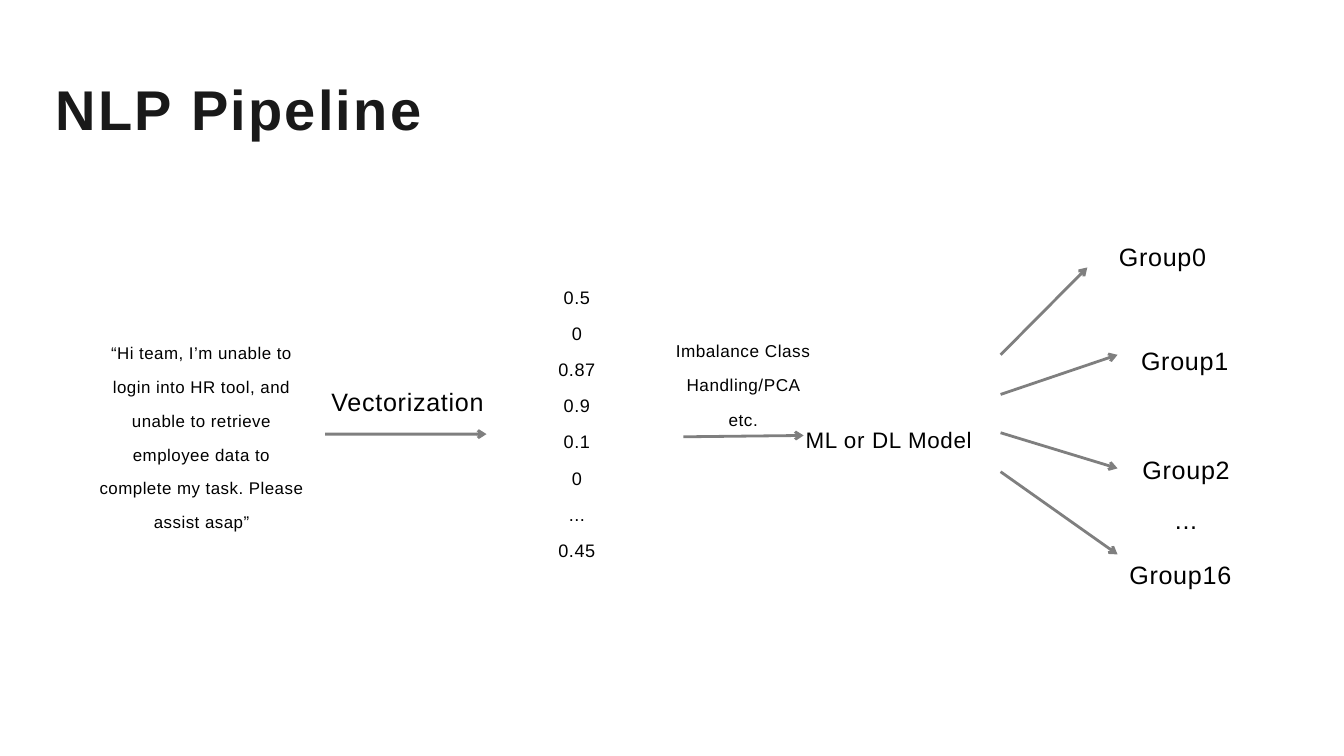
from dataclasses import dataclass
from lxml.etree import SubElement
from pptx import Presentation
from pptx.dml.color import RGBColor
from pptx.enum.shapes import MSO_CONNECTOR
from pptx.enum.text import MSO_ANCHOR, MSO_AUTO_SIZE, PP_ALIGN
from pptx.oxml.ns import qn
from pptx.util import Pt

PX = 9144


@dataclass
class Theme:
    font: str = "Arial"
    ink: str = "000000"
    head: str = "191919"
    title: float = 60
    label: float = 26.9
    model: float = 24
    vector: float = 19.4
    step: float = 18.4
    quote: float = 18.1
    stroke: float = 3
    alpha: int = 50


theme = Theme()


def place(shape, box):
    for name, value in zip(("left", "top", "width", "height"), box):
        setattr(shape, name, value * PX)


def write(shape, lines, size, space, ink=theme.ink, lead=2, align=PP_ALIGN.CENTER, bold=False):
    frame = shape.text_frame
    frame.text = "\n".join(lines)
    sides = dict.fromkeys(("margin_left", "margin_top", "margin_right", "margin_bottom"), 0)
    look = {**sides, "word_wrap": True, "vertical_anchor": MSO_ANCHOR.TOP,
            "auto_size": MSO_AUTO_SIZE.SHAPE_TO_FIT_TEXT}
    for name, value in look.items():
        setattr(frame, name, value)
    for para in frame.paragraphs:
        for name, value in {"alignment": align, "line_spacing": Pt(size * lead),
                            "space_before": Pt(0)}.items():
            setattr(para, name, value)
        for run in para.runs:
            for name, value in {"name": theme.font, "size": Pt(size), "bold": bold}.items():
                setattr(run.font, name, value)
            run.font.color.rgb = RGBColor.from_string(ink)
            run.font._element.set("spc", str(round(space * 100)))


deck = Presentation()
deck.slide_width, deck.slide_height = 2000 * PX, 1125 * PX
slide = deck.slides.add_slide(deck.slide_layouts[5])

arrows = [
    (484, 646, 724, 646),
    (1017, 650, 1196, 648),
    (1489, 702, 1663, 825),
    (1489, 644, 1663, 697),
    (1489, 587, 1663, 528),
    (1489, 528, 1618, 398),
]
for ends in arrows:
    arrow = slide.shapes.add_connector(MSO_CONNECTOR.STRAIGHT, *(end * PX for end in ends))
    arrow.line.width = Pt(theme.stroke)
    arrow.line.color.rgb = RGBColor.from_string(theme.ink)
    props = arrow.element.spPr
    line = props.find(qn("a:ln"))
    SubElement(line.find(".//" + qn("a:srgbClr")), qn("a:alpha"), val=str(theme.alpha * 1000))
    SubElement(line, qn("a:tailEnd"), type="arrow")
    SubElement(props, qn("a:effectLst"))

quote = ("“Hi team, I’m unable to login into HR tool, and unable to retrieve "
         "employee data to complete my task. Please assist asap”")
vector = ["0.5", "0", "0.87", "0.9", "0.1", "0", "...", "0.45"]
texts = [
    ((143, 490, 314, 296), [quote], theme.quote, 0.5),
    ((489, 545, 235, 66), ["Vectorization"], theme.label, 0.8),
    ((827, 404, 63, 430), vector, theme.vector, 0.6),
    ((1196, 608, 253, 60), ["ML or DL Model"], theme.model, 0.7),
    ((1663, 330, 134, 66), ["Group0"], theme.label, 0.8),
    ((1678, 802, 157, 66), ["Group16"], theme.label, 0.8),
    ((1663, 646, 204, 140), ["Group2", "..."], theme.label, 0.8),
    ((1696, 484, 134, 66), ["Group1"], theme.label, 0.8),
    ((997, 486, 218, 149), ["Imbalance Class Handling/PCA etc."], theme.step, 0.6),
]
for box, lines, size, space in texts:
    label = slide.shapes.add_textbox(0, 0, 0, 0)
    place(label, box)
    write(label, lines, size, space)

title = slide.shapes.title
place(title, (83, 77, 1775, 120))
write(title, ["NLP Pipeline"], theme.title, 2.4, theme.head, 1.6, PP_ALIGN.LEFT, True)

deck.save("out.pptx")
